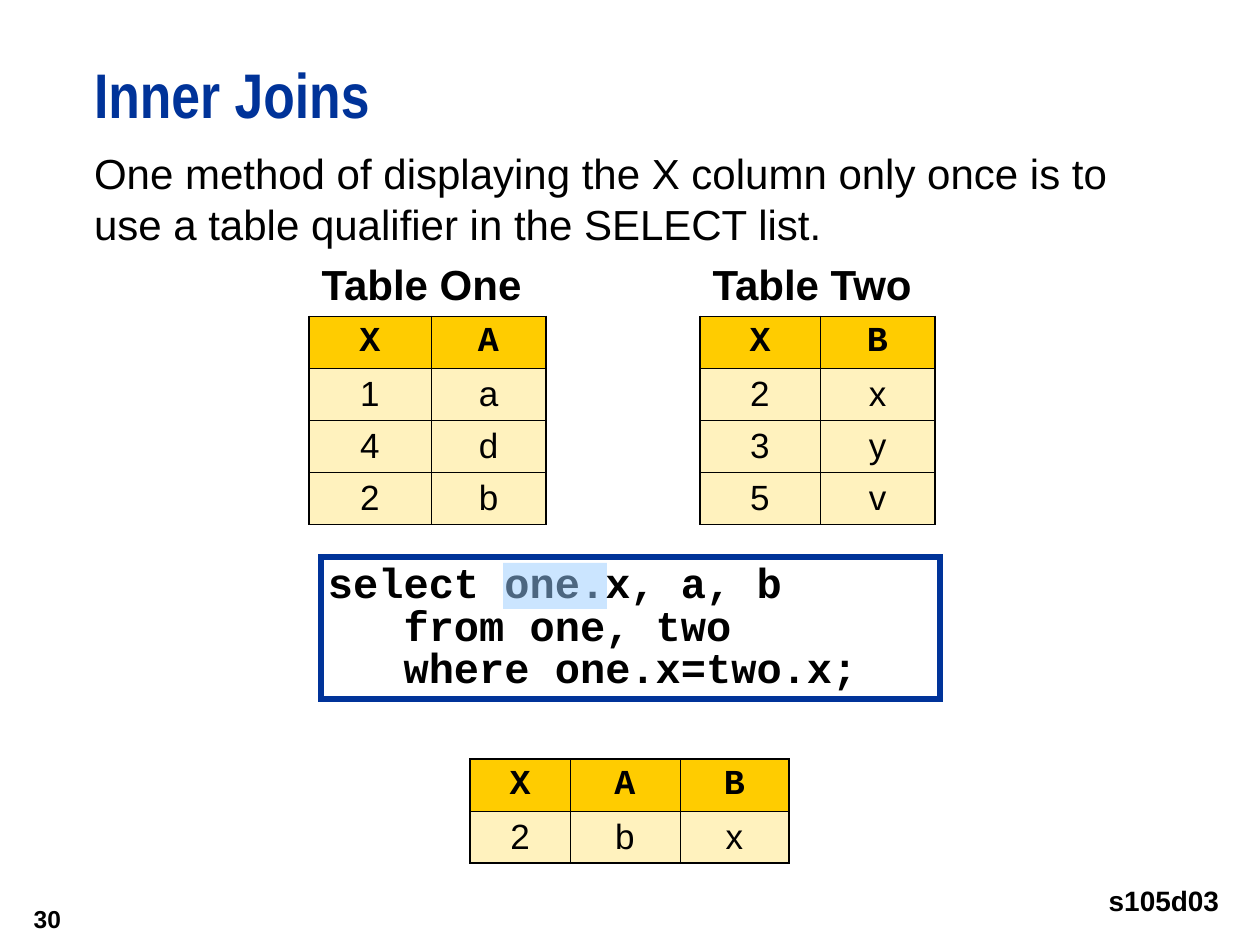
"""Builds the Inner Joins slide: two source tables, the query and its result."""
from lxml import etree
from pptx import Presentation
from pptx import util as u
from pptx.dml.color import RGBColor
from pptx.enum import shapes, text
from pptx.oxml import ns

PX = 914400 / 126
BLACK, NAVY, GOLD, CREAM = "000000", "003399", "FFCC00", "FFF2BE"


def emu(*lengths):
    return [u.Emu(round(length * PX)) for length in lengths]


def style(paragraph, face, size, color=BLACK, bold=True):
    font = paragraph.font
    font.name, font.size, font.bold = face, u.Pt(size), bold
    font.color.rgb = RGBColor.from_string(color)


deck = Presentation()
deck.slide_width, deck.slide_height = u.Inches(10), u.Inches(7.5)
slide = deck.slides.add_slide(deck.slide_layouts[6])

LEFT, RIGHT = text.PP_ALIGN.LEFT, text.PP_ALIGN.RIGHT
TOP, MIDDLE = text.MSO_ANCHOR.TOP, text.MSO_ANCHOR.MIDDLE
intro = "One method of displaying the X column only once is to use a table qualifier in the SELECT list."
labels = [
    ("Inner Joins", (94, 63, 1165, 94), (0, 0), "Arial Narrow", 36, NAVY, True, LEFT, TOP, 39),
    (intro, (94, 147, 1087, 113), (0, 0), "Arial", 24, BLACK, False, LEFT, TOP, 29),
    ("30", (0, 892, 74, 53), (13, 6), "Arial", 14, BLACK, True, RIGHT, MIDDLE, None),
    ("s105d03", (1086, 872, 146, 58), (13, 12), "Arial", 16, BLACK, True, RIGHT, TOP, None),
]
for words, place, inset, face, size, color, bold, align, anchor, leading in labels:
    frame = slide.shapes.add_textbox(*emu(*place)).text_frame
    frame.word_wrap = align == LEFT
    frame.vertical_anchor = anchor
    frame.margin_left, frame.margin_top = frame.margin_right, frame.margin_bottom = emu(*inset)
    line = frame.paragraphs[0]
    line.text, line.alignment = words, align
    if leading:
        line.line_spacing = u.Pt(leading)
    style(line, face, size, color, bold)

tables = [
    ("Table One", 309, 256, 59, (122, 115), ("XA", "1a", "4d", "2b")),
    ("Table Two", 700, 256, 59, (120, 115), ("XB", "2x", "3y", "5v")),
    ("", 470, 699, 60, (100, 110, 109), ("XAB", "2bx")),
]
ROW = 52
for caption, left, top, caption_height, widths, rows in tables:
    height = caption_height + ROW * len(rows)
    holder = slide.shapes.add_table(
        len(rows) + 1, len(widths), *emu(left, top, sum(widths), height))
    grid = holder.table
    grid.first_row = grid.horz_banding = False
    style_id = next(holder.element.iter(ns.qn("a:tableStyleId")))
    style_id.text = "{2D5ABB26-0587-4C30-8999-92F81FD0307C}"
    for column, width in zip(grid.columns, emu(*widths)):
        column.width = width
    for row, row_height in zip(grid.rows, emu(caption_height, *[ROW] * len(rows))):
        row.height = row_height

    heading = grid.cell(0, 0)
    heading.merge(grid.cell(0, len(widths) - 1))
    heading.vertical_anchor = MIDDLE
    heading.margin_top, heading.margin_bottom = emu(5, 5)
    heading.fill.background()
    if caption:
        heading.text = caption
        style(heading.text_frame.paragraphs[0], "Arial", 24)

    for r, values in enumerate(rows):
        for c, value in enumerate(values):
            cell = grid.cell(r + 1, c)
            cell.text, cell.vertical_anchor = value, MIDDLE
            cell.margin_top, cell.margin_bottom = emu(5, 5)
            entry = cell.text_frame.paragraphs[0]
            entry.alignment = text.PP_ALIGN.CENTER
            header = r == 0
            style(entry, "Courier New" if header else "Arial", 20, bold=header)
            edges = {"L": c == 0, "R": c == len(widths) - 1,
                     "T": header, "B": r == len(rows) - 1}
            properties = cell._tc.get_or_add_tcPr()
            for side, outer in edges.items():
                border = etree.SubElement(properties, ns.qn(f"a:ln{side}"),
                                          w=str(u.Pt(1.08 if outer else 0.45)))
                paint = etree.SubElement(border, ns.qn("a:solidFill"))
                etree.SubElement(paint, ns.qn("a:srgbClr"), val=BLACK)
            cell.fill.solid()
            cell.fill.fore_color.rgb = RGBColor.from_string(GOLD if header else CREAM)

query = slide.shapes.add_shape(shapes.MSO_SHAPE.RECTANGLE, *emu(321, 557, 619, 142))
query.shadow.inherit = False
query.fill.solid()
query.fill.fore_color.rgb = RGBColor.from_string("FFFFFF")
query.line.color.rgb = RGBColor.from_string(NAVY)
query.line.width = u.Pt(3)
outline = query.element.spPr.find(ns.qn("a:ln"))
etree.SubElement(outline, ns.qn("a:miter"), lim="800000")
code = query.text_frame
code.word_wrap, code.vertical_anchor = True, TOP
code.margin_left, code.margin_top, code.margin_right, code.margin_bottom = emu(7, 7, 7, 7)
code.text = "select one.x, a, b\n   from one, two\n   where one.x=two.x;"
for statement in code.paragraphs:
    statement.alignment, statement.line_spacing = LEFT, 0.85
    style(statement, "Courier New", 24)

highlight = slide.shapes.add_shape(shapes.MSO_SHAPE.RECTANGLE, *emu(503, 563, 104, 46))
highlight.shadow.inherit = False
highlight.fill.solid()
highlight.fill.fore_color.rgb = RGBColor.from_string("99CCFF")
tint = next(highlight.element.spPr.iter(ns.qn("a:srgbClr")))
etree.SubElement(tint, ns.qn("a:alpha"), val="50000")
highlight.line.fill.background()

deck.save("out.pptx")
